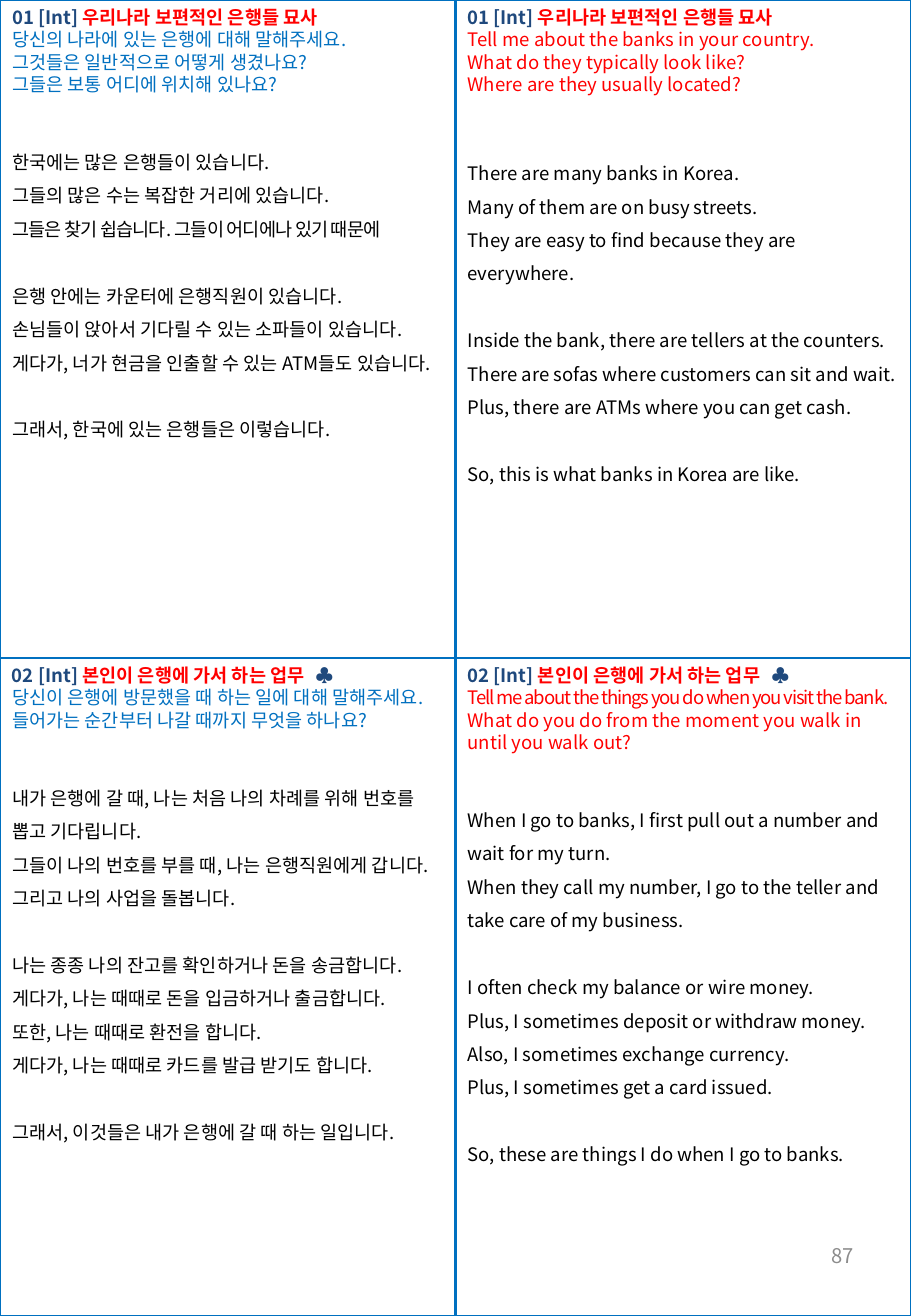
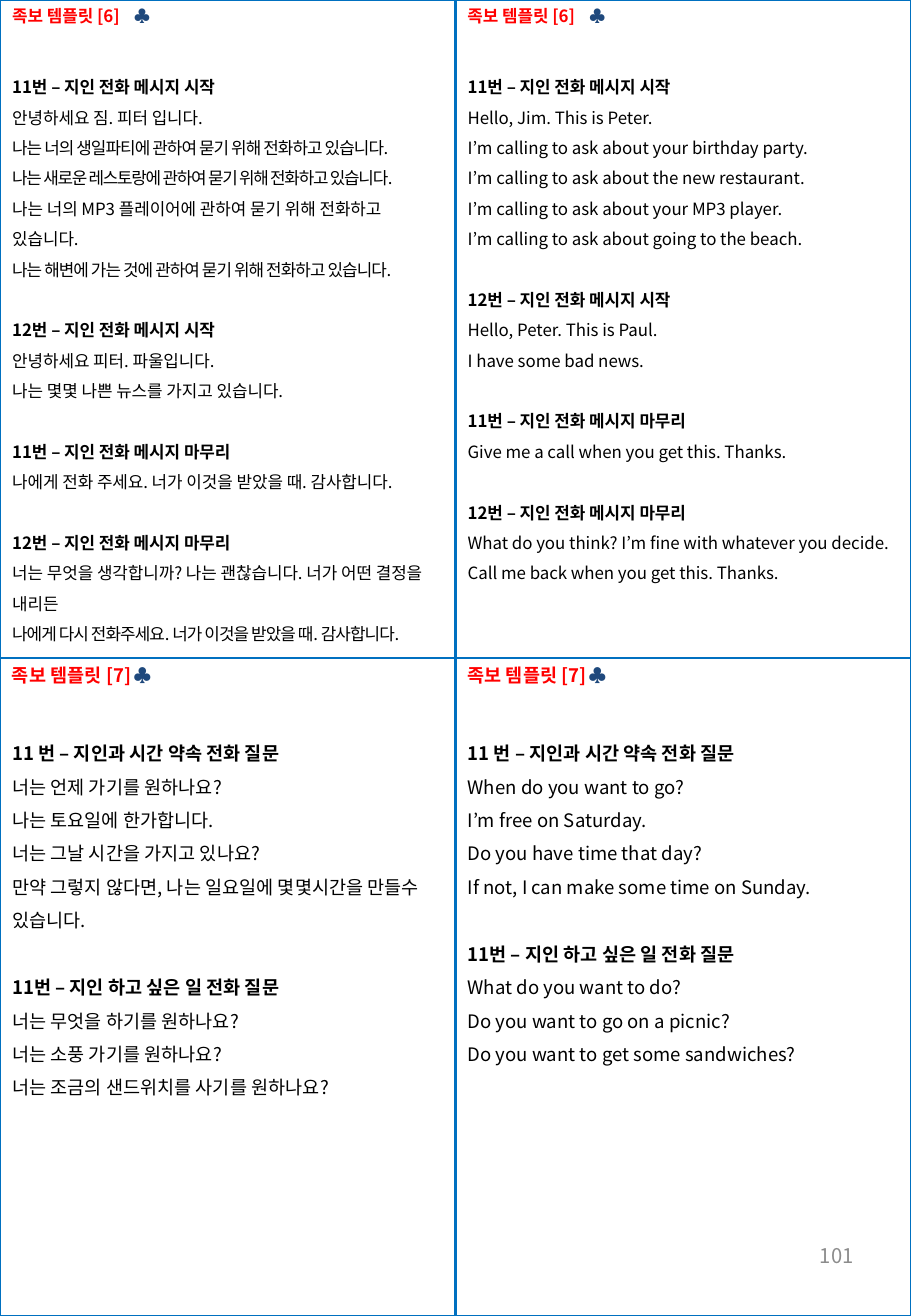
from dataclasses import dataclass, field

import pptx
import pptx.util
import pptx.dml.color
import pptx.enum.shapes
import pptx.enum.text
import pptx.oxml.ns
from lxml import etree

Cm, Pt = pptx.util.Cm, pptx.util.Pt
qn = pptx.oxml.ns.qn
ALIGN = pptx.enum.text.PP_ALIGN
ANCHOR = pptx.enum.text.MSO_ANCHOR

FONT = "Noto Sans CJK KR"
COLORS = {"line": "0070C0", "navy": "1F497D", "red": "FF0000",
          "blue": "0070C0", "black": "000000", "gray": "8C8C8C"}
WIDTH, HEIGHT = Cm(19.05), Cm(27.51)
LINE = 1.2      # height of a single line, in font sizes
WIDE = 1.8      # height of a line in the answers


@dataclass
class Panel:
    """One quarter of a page; a line may be text or (text, tracking)."""
    heading: list
    blocks: list
    size: int = 11
    tab: float = 0
    questions: list = field(default_factory=list)
    question_color: str = "red"
    gap: float = 2 * LINE
    titled: bool = False


def color(name):
    return pptx.dml.color.RGBColor.from_string(COLORS[name])


def add_run(paragraph, text, size, color_name, bold=False, tracking=0):
    run = paragraph.add_run()
    run.text = text
    run.font.name, run.font.size, run.font.bold = FONT, Pt(size), bold
    run.font.color.rgb = color(color_name)
    properties = run.font._element
    etree.SubElement(properties, qn("a:ea")).set("typeface", FONT)
    if tracking:
        properties.set("spc", str(round(tracking * 100)))


def format_paragraph(paragraph, height, before=0, tab=0):
    properties = paragraph._p.get_or_add_pPr()
    properties.set("marL", "0")
    properties.set("indent", "0")
    etree.SubElement(properties, qn("a:buNone"))
    if tab:
        tabs = etree.SubElement(properties, qn("a:tabLst"))
        stop = etree.SubElement(tabs, qn("a:tab"))
        stop.set("pos", str(Cm(tab)))
        stop.set("algn", "l")
    paragraph.alignment = ALIGN.LEFT
    paragraph.line_spacing = Pt(height)
    paragraph.space_before, paragraph.space_after = Pt(before), Pt(0)


def place(shape, left, top, width, height, anchor=ANCHOR.TOP):
    shape.left, shape.top, shape.width, shape.height = left, top, width, height
    frame = shape.text_frame
    frame.word_wrap = True
    frame.auto_size = pptx.enum.text.MSO_AUTO_SIZE.NONE
    frame.vertical_anchor = anchor
    return frame


def add_heading(shape, panel, left, top, width):
    frame = place(shape, left, top, width, Cm(0.8))
    paragraph = frame.paragraphs[0]
    format_paragraph(paragraph, panel.size * LINE, tab=panel.tab)
    for text, color_name in panel.heading:
        add_run(paragraph, text, panel.size, color_name, bold=True)
    if panel.tab:
        add_run(paragraph, "\t♣", panel.size, "navy", bold=True)


def panel_lines(panel):
    """Yield line, colour, bold, line height and gap before, in font sizes."""
    for line in panel.questions:
        yield line, panel.question_color, False, LINE, 0
    for block_index, block in enumerate(panel.blocks):
        for line_index, line in enumerate(block):
            gap = 0
            if line_index == 0:
                if block_index:
                    gap = WIDE
                elif panel.questions:
                    gap = panel.gap
            yield line, "black", panel.titled and line_index == 0, WIDE, gap


def add_body(shape, panel, left, top, width, height):
    offset = Pt(panel.size * LINE * (1 if panel.questions else 3))
    frame = place(shape, left, top + offset, width, height - offset)
    for index, (line, color_name, bold, leading, gap) in enumerate(panel_lines(panel)):
        text, tracking = (line, 0) if isinstance(line, str) else line
        paragraph = frame.add_paragraph() if index else frame.paragraphs[0]
        format_paragraph(paragraph, panel.size * leading, panel.size * gap)
        add_run(paragraph, text, panel.size, color_name, bold, tracking)


def style_line(line):
    line.color.rgb = color("line")
    line.width = Pt(1.5)


def add_frame(slide):
    """Page border and the cross that divides the page."""
    border = slide.shapes.add_shape(
        pptx.enum.shapes.MSO_SHAPE.RECTANGLE, 0, 0, WIDTH, HEIGHT)
    border.shadow.inherit = False
    border.fill.background()
    style_line(border.line)
    for ends in ((0, HEIGHT // 2, WIDTH, HEIGHT // 2),
                 (WIDTH // 2, 0, WIDTH // 2, HEIGHT)):
        divider = slide.shapes.add_connector(
            pptx.enum.shapes.MSO_CONNECTOR.STRAIGHT, *ends)
        style_line(divider.line)
        etree.SubElement(divider._element.spPr, qn("a:effectLst"))


def add_page_number(slide, number):
    box = slide.shapes.add_textbox(0, 0, 0, 0)
    frame = place(box, Cm(13.65), Cm(25.5), Cm(4.45), Cm(1.47), ANCHOR.MIDDLE)
    paragraph = frame.paragraphs[0]
    paragraph.alignment = ALIGN.RIGHT
    add_run(paragraph, str(number), 12, "gray")


def add_page(presentation, number, panels):
    # The comparison layout offers a title and four text placeholders
    slide = presentation.slides.add_slide(presentation.slide_layouts[4])
    bodies = [shape for shape in slide.placeholders
              if shape.placeholder_format.idx]
    add_frame(slide)
    add_page_number(slide, number)
    width, height = WIDTH // 2, HEIGHT // 2
    for index, (panel, body) in enumerate(zip(panels, bodies)):
        row, column = divmod(index, 2)
        left, top = column * width, row * height
        heading = slide.shapes.add_textbox(0, 0, 0, 0) if index else slide.shapes.title
        add_heading(heading, panel, left, top, width)
        add_body(body, panel, left, top, width, height)


# Headings shared by the Korean and English panels
BANKS = [("01 [Int] ", "navy"), ("우리나라 보편적인 은행들 묘사", "red")]
ERRANDS = [("02 [Int] ", "navy"), ("본인이 은행에 가서 하는 업무", "red")]
TEMPLATE_6 = [("족보 템플릿 [6]", "red")]
TEMPLATE_7 = [("족보 템플릿 [7]", "red")]
START_11, START_12 = (f"{n}번 – 지인 전화 메시지 시작" for n in (11, 12))
END_11, END_12 = (f"{n}번 – 지인 전화 메시지 마무리" for n in (11, 12))
MEETING = "11 번 – 지인과 시간 약속 전화 질문"
ACTIVITY = "11번 – 지인 하고 싶은 일 전화 질문"

BANK_PANELS = [
    Panel(BANKS, question_color="blue",
          questions=["당신의 나라에 있는 은행에 대해 말해주세요.",
                     "그것들은 일반적으로 어떻게 생겼나요?",
                     "그들은 보통 어디에 위치해 있나요?"],
          blocks=[["한국에는 많은 은행들이 있습니다.",
                   "그들의 많은 수는 복잡한 거리에 있습니다.",
                   ("그들은 찾기 쉽습니다. 그들이 어디에나 있기 때문에", -0.5)],
                  ["은행 안에는 카운터에 은행직원이 있습니다.",
                   "손님들이 앉아서 기다릴 수 있는 소파들이 있습니다.",
                   "게다가, 너가 현금을 인출할 수 있는 ATM들도 있습니다."],
                  ["그래서, 한국에 있는 은행들은 이렇습니다."]]),
    Panel(BANKS, gap=LINE + WIDE,
          questions=["Tell me about the banks in your country.",
                     "What do they typically look like?",
                     "Where are they usually located?"],
          blocks=[["There are many banks in Korea.",
                   "Many of them are on busy streets.",
                   "They are easy to find because they are everywhere."],
                  ["Inside the bank, there are tellers at the counters.",
                   "There are sofas where customers can sit and wait.",
                   "Plus, there are ATMs where you can get cash."],
                  ["So, this is what banks in Korea are like."]]),
    Panel(ERRANDS, tab=7.84, question_color="blue",
          questions=["당신이 은행에 방문했을 때 하는 일에 대해 말해주세요.",
                     "들어가는 순간부터 나갈 때까지 무엇을 하나요?"],
          blocks=[["내가 은행에 갈 때, 나는 처음 나의 차례를 위해 번호를 뽑고 기다립니다.",
                   "그들이 나의 번호를 부를 때, 나는 은행직원에게 갑니다. 그리고 나의 사업을 돌봅니다."],
                  ["나는 종종 나의 잔고를 확인하거나 돈을 송금합니다.",
                   "게다가, 나는 때때로 돈을 입금하거나 출금합니다.",
                   "또한, 나는 때때로 환전을 합니다.",
                   "게다가, 나는 때때로 카드를 발급 받기도 합니다."],
                  ["그래서, 이것들은 내가 은행에 갈 때 하는 일입니다."]]),
    Panel(ERRANDS, tab=7.84,
          questions=[("Tell me about the things you do when you visit the bank.", -0.7),
                     "What do you do from the moment you walk in until you walk out?"],
          blocks=[["When I go to banks, I first pull out a number and wait for my turn.",
                   "When they call my number, I go to the teller and take care of my business."],
                  ["I often check my balance or wire money.",
                   "Plus, I sometimes deposit or withdraw money.",
                   "Also, I sometimes exchange currency.",
                   "Plus, I sometimes get a card issued."],
                  ["So, these are things I do when I go to banks."]]),
]

PHONE_PANELS = [
    Panel(TEMPLATE_6, size=10, tab=6.38, titled=True,
          blocks=[[START_11,
                   "안녕하세요 짐. 피터 입니다.",
                   ("나는 너의 생일파티에 관하여 묻기 위해 전화하고 있습니다.", -0.5),
                   ("나는 새로운 레스토랑에 관하여 묻기 위해 전화하고 있습니다.", -0.7),
                   "나는 너의 MP3 플레이어에 관하여 묻기 위해 전화하고 있습니다.",
                   ("나는 해변에 가는 것에 관하여 묻기 위해 전화하고 있습니다.", -0.5)],
                  [START_12,
                   "안녕하세요 피터. 파울입니다.",
                   "나는 몇몇 나쁜 뉴스를 가지고 있습니다."],
                  [END_11,
                   "나에게 전화 주세요. 너가 이것을 받았을 때. 감사합니다."],
                  [END_12,
                   "너는 무엇을 생각합니까? 나는 괜찮습니다. 너가 어떤 결정을 내리든",
                   ("나에게 다시 전화주세요. 너가 이것을 받았을 때. 감사합니다.", -0.5)]]),
    Panel(TEMPLATE_6, size=10, tab=6.38, titled=True,
          blocks=[[START_11,
                   "Hello, Jim. This is Peter.",
                   "I’m calling to ask about your birthday party.",
                   "I’m calling to ask about the new restaurant.",
                   "I’m calling to ask about your MP3 player.",
                   "I’m calling to ask about going to the beach."],
                  [START_12,
                   "Hello, Peter. This is Paul.",
                   "I have some bad news."],
                  [END_11,
                   "Give me a call when you get this. Thanks."],
                  [END_12,
                   "What do you think? I’m fine with whatever you decide.",
                   "Call me back when you get this. Thanks."]]),
    Panel(TEMPLATE_7, tab=6.44, titled=True,
          blocks=[[MEETING,
                   "너는 언제 가기를 원하나요?",
                   "나는 토요일에 한가합니다.",
                   "너는 그날 시간을 가지고 있나요?",
                   "만약 그렇지 않다면, 나는 일요일에 몇몇시간을 만들수 있습니다."],
                  [ACTIVITY,
                   "너는 무엇을 하기를 원하나요?",
                   "너는 소풍 가기를 원하나요?",
                   "너는 조금의 샌드위치를 사기를 원하나요?"]]),
    Panel(TEMPLATE_7, tab=6.44, titled=True,
          blocks=[[MEETING,
                   "When do you want to go?",
                   "I’m free on Saturday.",
                   "Do you have time that day?",
                   "If not, I can make some time on Sunday."],
                  [ACTIVITY,
                   "What do you want to do?",
                   "Do you want to go on a picnic?",
                   "Do you want to get some sandwiches?"]]),
]


def main():
    presentation = pptx.Presentation()
    presentation.slide_width, presentation.slide_height = WIDTH, HEIGHT
    add_page(presentation, 87, BANK_PANELS)
    add_page(presentation, 101, PHONE_PANELS)
    presentation.save("out.pptx")


if __name__ == "__main__":
    main()
